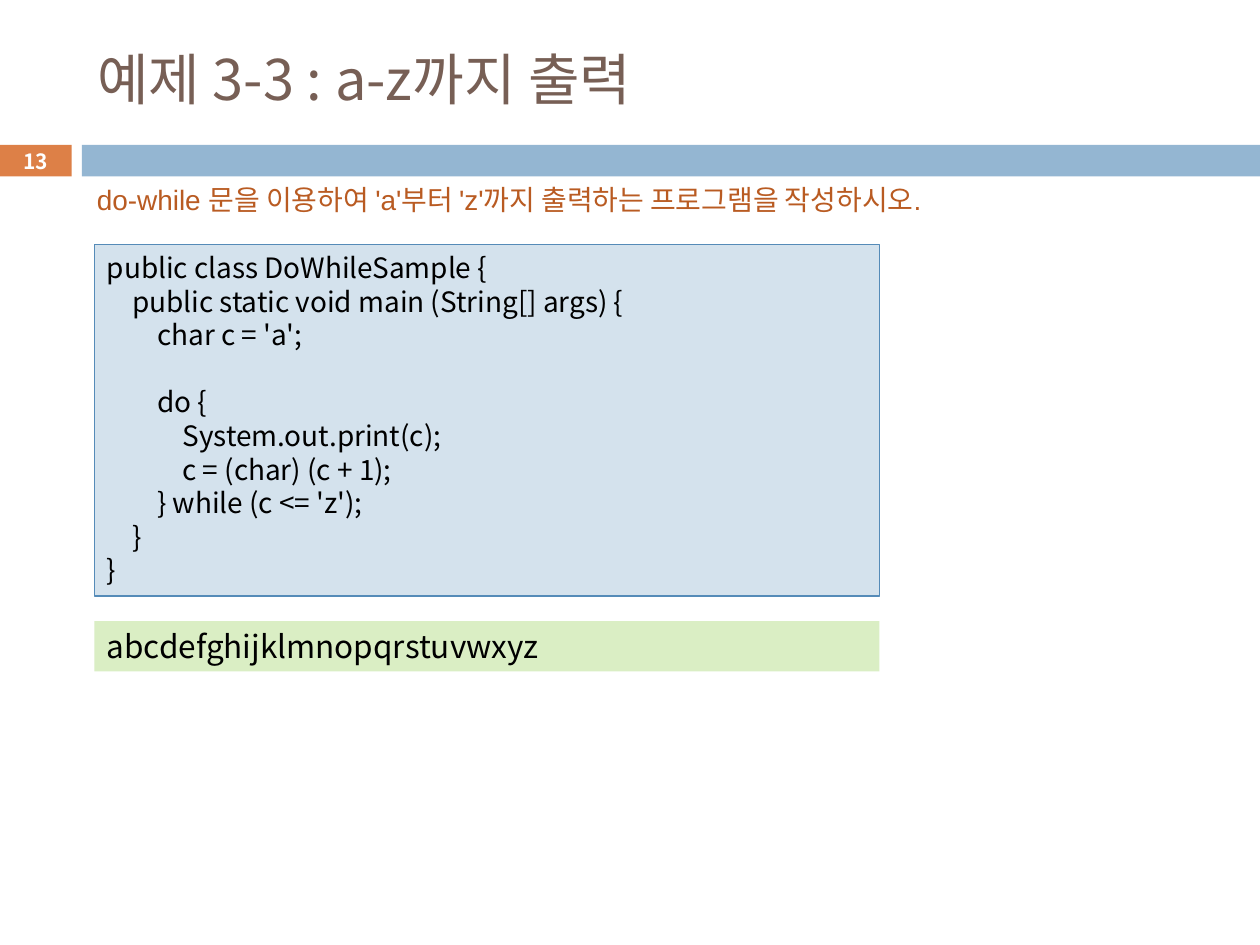
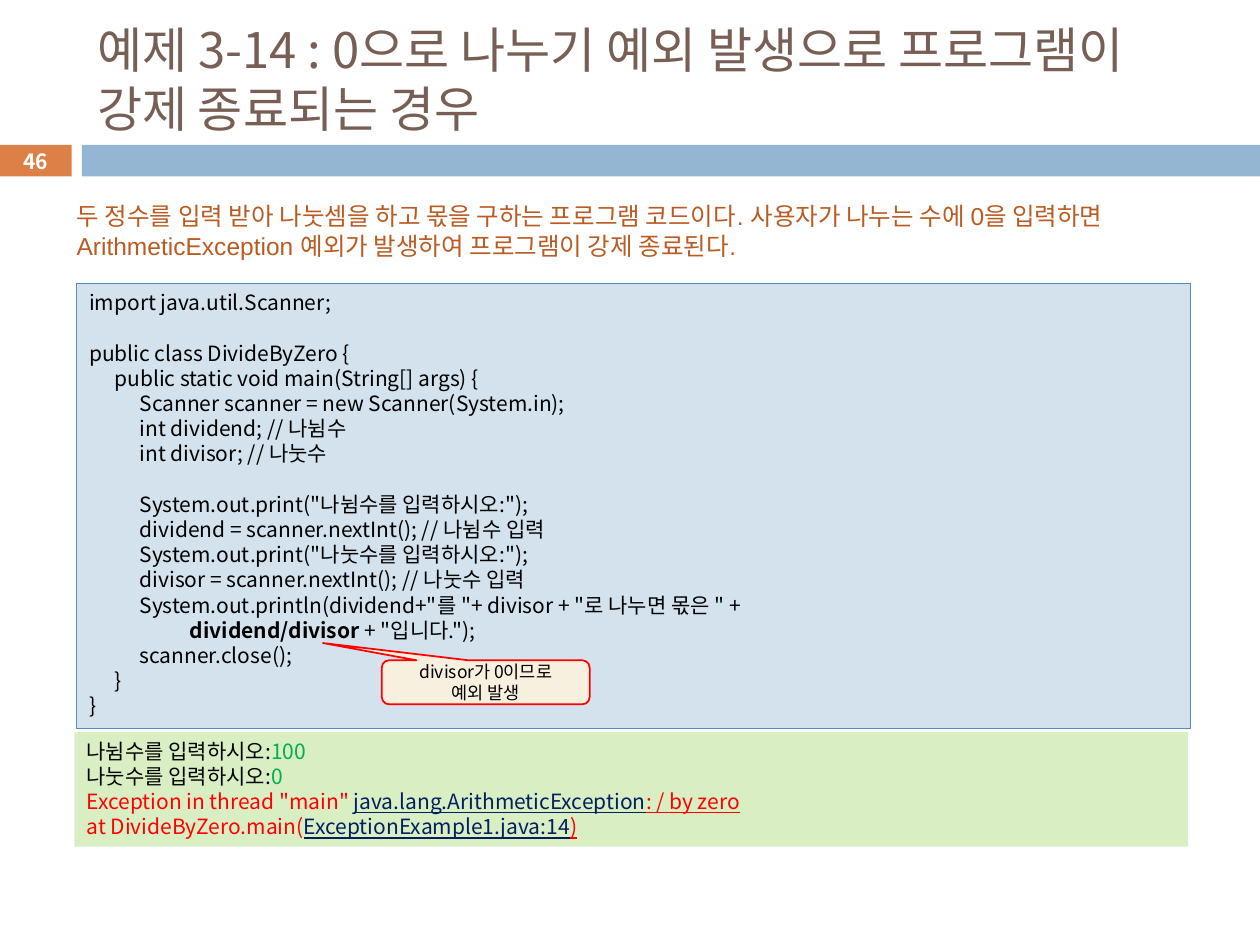
import pptx
import pptx.util
import pptx.dml.color
import pptx.enum.shapes
import pptx.enum.text
import pptx.oxml
import pptx.oxml.ns
from pptx.util import Inches

SHAPES = pptx.enum.shapes.MSO_SHAPE
ALIGN = pptx.enum.text.PP_ALIGN
ANCHOR = pptx.enum.text.MSO_ANCHOR

SANS, LATIN = "Noto Sans CJK KR", "Arial"
BLACK, WHITE, RED, GREEN, NAVY = "000000", "FFFFFF", "FF0000", "00B050", "002060"
BROWN, ORANGE, BLUE, RUST = "775F55", "DD8047", "94B6D2", "B95B22"
CODE_FILL, CODE_LINE, OUTPUT_FILL, CALLOUT_FILL = "D4E2ED", "558BB8", "DAEEC4", "F7F0DE"
TAB_STEP, TAB_COUNT = 0.2, 4
LINE_HEIGHT = 1.2

# A line is a string or a list of runs; a run is a string or (string, format).
EXAMPLES = [
    {
        "number": "13",
        "title": "예제 3-3 : a-z까지 출력",
        "title_size": 32,
        "task": "do-while 문을 이용하여 'a'부터 'z'까지 출력하는 프로그램을 작성하시오.",
        "task_at": (0.67, 1.4, 8.55, 0.37),
        "task_format": {"size": 16},
        "code": [
            "public class DoWhileSample {",
            "\tpublic static void main (String[] args) {",
            "\t\tchar c = 'a';",
            "",
            "\t\tdo {",
            "\t\t\tSystem.out.print(c);",
            "\t\t\tc = (char) (c + 1);",
            "\t\t} while (c <= 'z');",
            "\t}",
            "}",
        ],
        "code_at": (0.75, 1.94, 6.23, 2.79),
        "code_size": 16,
        "output": ["abcdefghijklmnopqrstuvwxyz"],
        "output_at": (0.75, 4.93, 6.23, 0.4),
        "output_size": 18,
    },
    {
        "number": "46",
        "title": "예제 3-14 : 0으로 나누기 예외 발생으로 프로그램이 강제 종료되는 경우",
        "title_size": 28,
        "task": "두 정수를 입력 받아 나눗셈을 하고 몫을 구하는 프로그램 코드이다. "
                "사용자가 나누는 수에 0을 입력하면 ArithmeticException 예외가 발생하여 "
                "프로그램이 강제 종료된다.",
        "task_at": (0.51, 1.55, 8.34, 0.57),
        "task_format": {"size": 14, "align": ALIGN.JUSTIFY},
        "code": [
            "import java.util.Scanner;",
            "",
            "public class DivideByZero {",
            "\tpublic static void main(String[] args) {",
            "\t\tScanner scanner = new Scanner(System.in);",
            "\t\tint dividend; // 나뉨수",
            "\t\tint divisor; // 나눗수",
            "",
            '\t\tSystem.out.print("나뉨수를 입력하시오:");',
            "\t\tdividend = scanner.nextInt(); // 나뉨수 입력",
            '\t\tSystem.out.print("나눗수를 입력하시오:");',
            "\t\tdivisor = scanner.nextInt(); // 나눗수 입력",
            '\t\tSystem.out.println(dividend+"를 "+ divisor + "로 나누면 몫은 " +',
            [("\t\t\t\tdividend/divisor ", {"bold": True}), '+ "입니다.");'],
            "\t\tscanner.close();",
            "\t}",
            "}",
        ],
        "code_at": (0.61, 2.25, 8.84, 3.53),
        "code_size": 12,
        "output": [
            ["나뉨수를 입력하시오:", ("100", {"color": GREEN})],
            ["나눗수를 입력하시오:", ("0", {"color": GREEN})],
            [('Exception in thread "main" ', {"color": RED}),
             ("java.lang.ArithmeticException", {"color": NAVY, "underline": True}),
             (": / by zero", {"color": RED, "underline": True})],
            [("at DivideByZero.main(", {"color": RED}),
             ("ExceptionExample1.java:14", {"color": NAVY, "underline": True}),
             (")", {"color": RED, "underline": True})],
        ],
        "output_at": (0.59, 5.81, 8.84, 0.91),
        "output_size": 12,
        "callout": ["divisor가 0이므로", "예외 발생"],
        "callout_at": (3.03, 5.24, 1.65, 0.35),
        "callout_tail": (-0.783, -0.891, 0.167),
    },
]


def rgb(hex_color):
    return pptx.dml.color.RGBColor.from_string(hex_color)


def add_tab_stops(paragraph):
    properties = paragraph._p.get_or_add_pPr()
    tab_list = pptx.oxml.parse_xml(f"<a:tabLst {pptx.oxml.ns.nsdecls('a')}/>")
    for stop in range(1, TAB_COUNT + 1):
        tab = tab_list.makeelement(pptx.oxml.ns.qn("a:tab"),
                                   {"pos": str(Inches(TAB_STEP * stop)), "algn": "l"})
        tab_list.append(tab)
    properties.append(tab_list)


def add_run(paragraph, text, size, font, color, bold=False, underline=False):
    run = paragraph.add_run()
    run.text = text
    run.font.size = pptx.util.Pt(size)
    run.font.name = font
    run.font.bold = bold
    run.font.underline = underline
    run.font.color.rgb = rgb(color)
    east_asian = pptx.oxml.parse_xml(
        f'<a:ea {pptx.oxml.ns.nsdecls("a")} typeface="{SANS}"/>')
    run.font._rPr.find(pptx.oxml.ns.qn("a:latin")).addnext(east_asian)


def write(shape, lines, size, font=SANS, color=BLACK, bold=False,
          align=ALIGN.LEFT, anchor=ANCHOR.TOP, tabs=False):
    """Fill a shape with lines of runs at a fixed line height."""
    frame = shape.text_frame
    frame.word_wrap = True
    frame.auto_size = pptx.enum.text.MSO_AUTO_SIZE.NONE
    frame.vertical_anchor = anchor
    for index, line in enumerate(lines):
        paragraph = frame.add_paragraph() if index else frame.paragraphs[0]
        paragraph.alignment = align
        paragraph.line_spacing = pptx.util.Pt(size * LINE_HEIGHT)
        if tabs:
            add_tab_stops(paragraph)
        for part in [line] if isinstance(line, str) else line:
            text, changes = (part, {}) if isinstance(part, str) else part
            style = {"size": size, "font": font, "color": color, "bold": bold}
            if text:
                add_run(paragraph, text, **{**style, **changes})


def add_box(slide, at, fill, line=None, line_width=0.75, kind=SHAPES.RECTANGLE):
    box = slide.shapes.add_shape(kind, *map(Inches, at))
    box.shadow.inherit = False
    box.fill.solid()
    box.fill.fore_color.rgb = rgb(fill)
    if line:
        box.line.color.rgb = rgb(line)
        box.line.width = pptx.util.Pt(line_width)
    else:
        box.line.fill.background()
    return box


def add_header(slide, example):
    title = slide.shapes.title
    title.left, title.top, title.width, title.height = map(Inches, (0.67, 0.25, 8.92, 0.74))
    write(title, [example["title"]], example["title_size"], color=BROWN, anchor=ANCHOR.MIDDLE)
    badge = add_box(slide, (0, 1.15, 0.57, 0.25), ORANGE)
    write(badge, [example["number"]], 12, color=WHITE, bold=True,
          align=ALIGN.CENTER, anchor=ANCHOR.MIDDLE)
    add_box(slide, (0.65, 1.15, 9.35, 0.25), BLUE)


def add_example(deck, example):
    slide = deck.slides.add_slide(deck.slide_layouts[5])
    add_header(slide, example)

    task = slide.shapes.add_textbox(*map(Inches, example["task_at"]))
    write(task, [example["task"]], font=LATIN, color=RUST, **example["task_format"])

    code = add_box(slide, example["code_at"], CODE_FILL, CODE_LINE)
    write(code, example["code"], example["code_size"], tabs=True)

    output = add_box(slide, example["output_at"], OUTPUT_FILL)
    write(output, example["output"], example["output_size"])

    if "callout" in example:
        callout = add_box(slide, example["callout_at"], CALLOUT_FILL, RED, 1,
                          SHAPES.ROUNDED_RECTANGULAR_CALLOUT)
        for index, value in enumerate(example["callout_tail"]):
            callout.adjustments[index] = value
        write(callout, example["callout"], 10, align=ALIGN.CENTER, anchor=ANCHOR.MIDDLE)


def main():
    deck = pptx.Presentation()
    deck.slide_width, deck.slide_height = Inches(10), Inches(7.5)
    for example in EXAMPLES:
        add_example(deck, example)
    deck.save("out.pptx")


if __name__ == "__main__":
    main()
